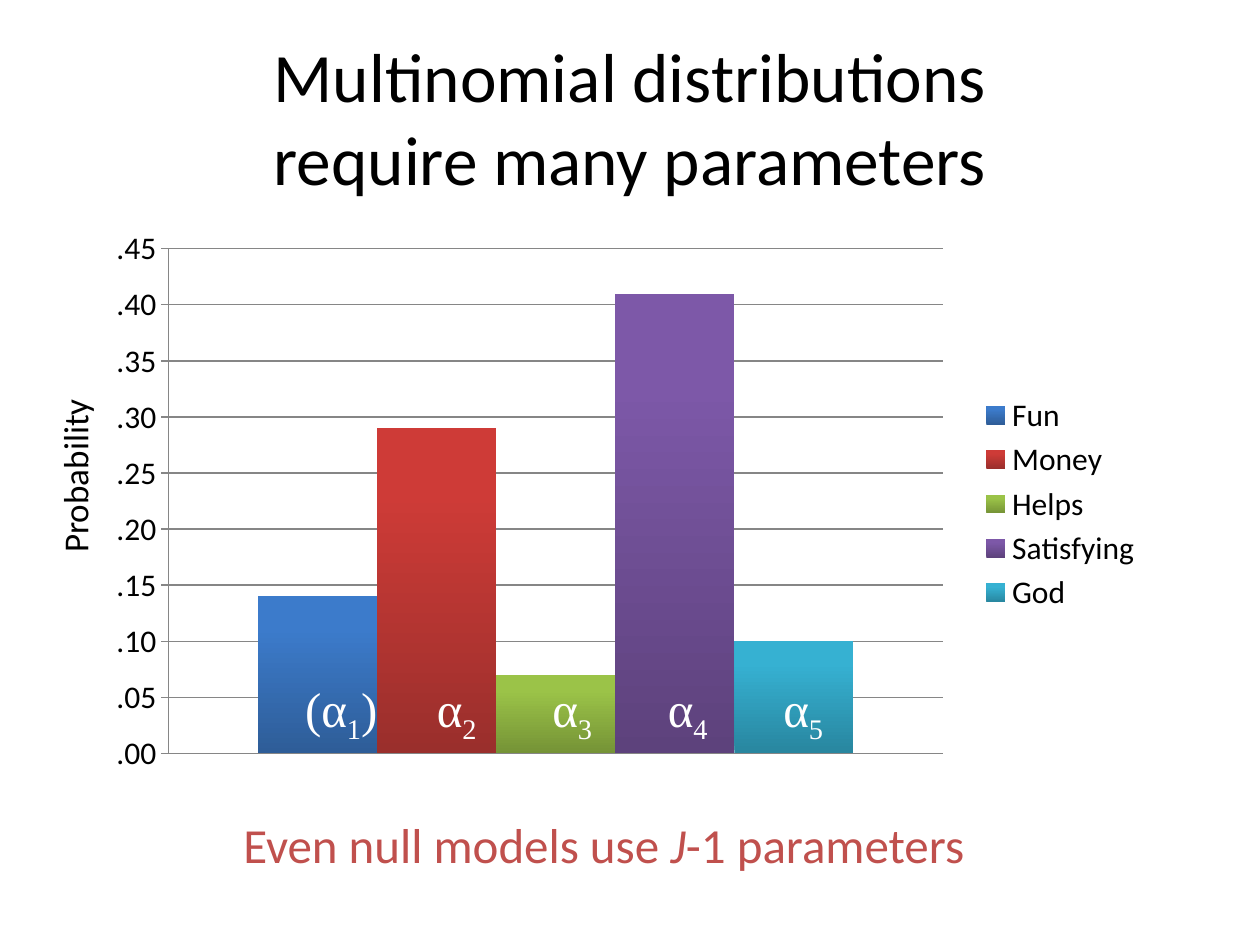
from lxml import etree
from pptx import Presentation
from pptx.chart import data as chart_data
from pptx.dml import color
from pptx.enum import chart as charts, text
from pptx.oxml import ns
from pptx.util import Pt

ANSWERS = [
    ("Fun", 0.14, "3C7BCB", "2E5D98"),
    ("Money", 0.29, "CE3B37", "9A2F2C"),
    ("Helps", 0.07, "9BC348", "759336"),
    ("Satisfying", 0.41, "7D58A8", "5D427C"),
    ("God", 0.1, "36B1D2", "28869F"),
]


def rgb(value):
    """Turn a hex string into a colour."""
    return color.RGBColor.from_string(value)


def style(font, size, hue, face="Calibri"):
    """Set the size, colour and face of a font."""
    font.size = Pt(size)
    font.color.rgb = rgb(hue)
    font.name = face


def place(part, box):
    """Move a shape to a box given in points."""
    part.left, part.top, part.width, part.height = map(Pt, box)


def add_label(slide, box, pieces, size, hue, face="Calibri"):
    """Add one centred line made of text pieces and return its frame and runs."""
    label = slide.shapes.add_textbox(*map(Pt, box))
    frame = label.text_frame
    frame.word_wrap = True
    line = frame.paragraphs[0]
    line.alignment = text.PP_ALIGN.CENTER
    runs = []
    for piece in pieces:
        run = line.add_run()
        run.text = piece
        style(run.font, size, hue, face)
        runs.append(run)
    return frame, runs


def add_heading(slide, box):
    """Fill the title placeholder."""
    heading = slide.shapes.title
    place(heading, box)
    frame = heading.text_frame
    frame.text = "Multinomial distributions\vrequire many parameters"
    frame.vertical_anchor = text.MSO_ANCHOR.MIDDLE
    frame.paragraphs[0].alignment = text.PP_ALIGN.CENTER
    for run in frame.paragraphs[0].runs:
        style(run.font, 39.6, "000000")


def fix_plot_area(chart, **fractions):
    """Pin the inner plot area to fractions of the chart."""
    plot_area = chart.element.find(".//" + ns.qn("c:plotArea"))
    for old in plot_area.findall(ns.qn("c:layout")):
        plot_area.remove(old)
    layout = etree.Element(ns.qn("c:layout"))
    manual = etree.SubElement(layout, ns.qn("c:manualLayout"))
    settings = {"layoutTarget": "inner", "xMode": "edge", "yMode": "edge", **fractions}
    for tag, value in settings.items():
        etree.SubElement(manual, ns.qn("c:" + tag)).set("val", str(value))
    plot_area.insert(0, layout)


def add_probabilities(slide, box):
    """Add the column chart of answer probabilities."""
    table = chart_data.CategoryChartData(number_format=".00")
    table.categories = ["1"]
    for name, probability, _, _ in ANSWERS:
        table.add_series(name, [probability])
    kind = charts.XL_CHART_TYPE.COLUMN_CLUSTERED
    chart = slide.shapes.add_chart(kind, *map(Pt, box), table).chart
    style(chart.font, 18, "000000")
    chart.has_title = False
    chart.has_legend = True
    chart.legend.position = charts.XL_LEGEND_POSITION.RIGHT
    chart.legend.include_in_layout = False
    chart.category_axis.visible = False
    fix_plot_area(chart, x=0.07, y=0.05, w=0.73, h=0.89)

    scale = chart.value_axis
    scale.minimum_scale, scale.maximum_scale, scale.major_unit = 0, 0.45, 0.05
    scale.major_tick_mark = charts.XL_TICK_MARK.OUTSIDE
    scale.tick_labels.number_format = ".00"
    scale.tick_labels.number_format_is_linked = False
    scale.has_major_gridlines = True
    for rule in (scale.format.line, scale.major_gridlines.format.line):
        rule.color.rgb = rgb("868686")
        rule.width = Pt(0.75)

    plot = chart.plots[0]
    plot.gap_width = 150
    plot.overlap = 0
    plot.vary_by_categories = False
    for column, (_, _, light, dark) in zip(plot.series, ANSWERS):
        fill = column.format.fill
        fill.gradient()
        fill.gradient_angle = 90
        for stop, hue, position in zip(fill.gradient_stops, (dark, light), (0, 0.8)):
            stop.color.rgb = rgb(hue)
            stop.position = position
        column.format.line.fill.background()


def add_alphas(slide, box):
    """Label the columns with their parameters, the first in brackets."""
    left, top, pitch, height = box
    for number in range(1, len(ANSWERS) + 1):
        pieces, width = ["α", str(number)], 42
        if number == 1:
            pieces, width = ["(α", "1", ")"], 78
        middle = left + pitch * (number - 1)
        spot = (middle - width / 2, top, width, height)
        _, runs = add_label(slide, spot, pieces, 28, "FFFFFF", "Times New Roman")
        runs[1].font._element.set("baseline", "-25000")


def add_axis_name(slide, box):
    """Name the value axis with text that reads upwards."""
    frame, _ = add_label(slide, box, ["Probability"], 20, "000000")
    frame._txBody.bodyPr.set("vert", "vert270")


def add_conclusion(slide, box):
    """Add the closing sentence with its italic J."""
    pieces = ["Even null models use ", "J", "-1 parameters"]
    _, runs = add_label(slide, box, pieces, 28, "C0504D")
    runs[1].font.italic = True


def build():
    """Build and save the slide."""
    deck = Presentation()
    deck.slide_width, deck.slide_height = Pt(720), Pt(540)
    slide = deck.slides.add_slide(deck.slide_layouts[5])
    add_heading(slide, (36, 21.6, 648, 90))
    add_probabilities(slide, (54, 126, 606, 324))
    add_alphas(slide, (195, 384, 66, 41))
    add_conclusion(slide, (78, 462, 534, 41))
    add_axis_name(slide, (27, 192, 39, 160))
    deck.save("out.pptx")


build()
